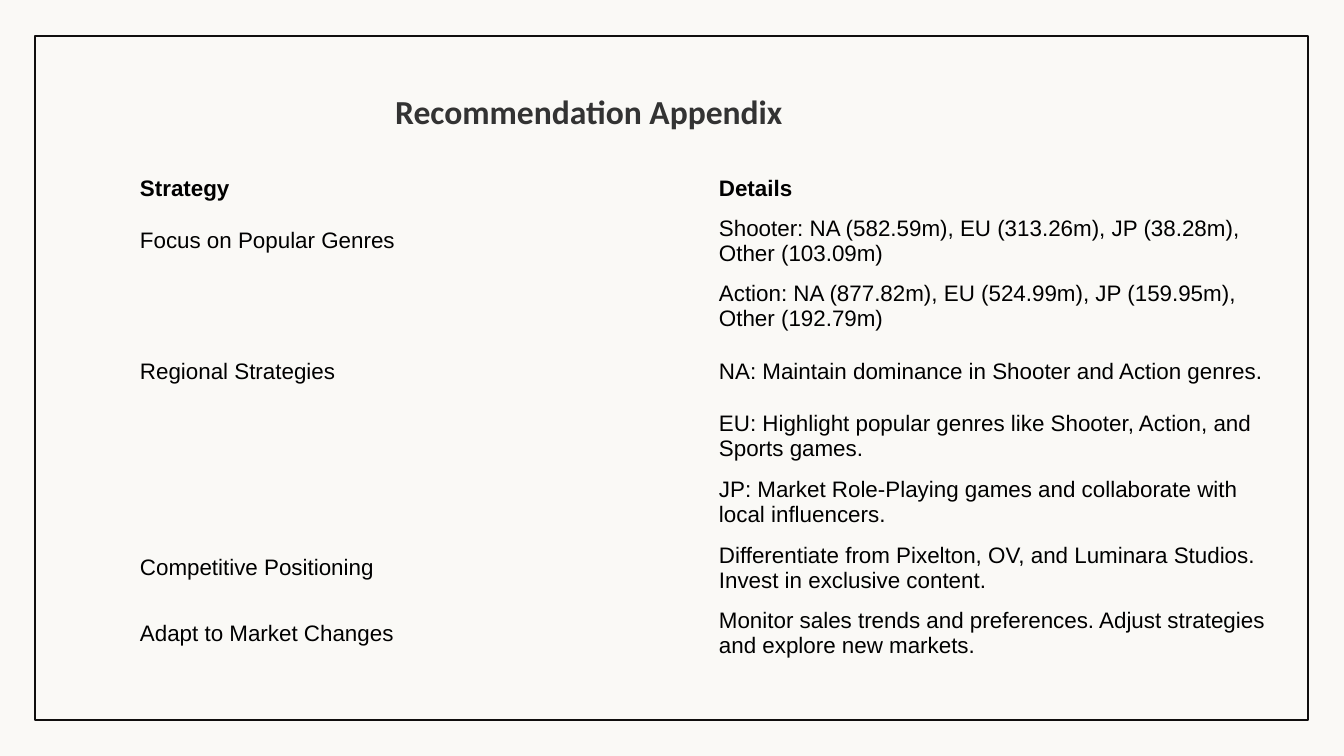
import dataclasses

import pptx
import pptx.dml.color
import pptx.enum.shapes
import pptx.enum.text
import pptx.oxml.ns
import pptx.util

SCALE = 914400 / 134.4
NO_GRID = "{2D5ABB26-0587-4C30-8999-92F81FD0307C}"
HEAD = ("Strategy", "Details")
ROWS = [
    ("Focus on Popular Genres",
     "Shooter: NA (582.59m), EU (313.26m), JP (38.28m), Other (103.09m)"),
    ("", "Action: NA (877.82m), EU (524.99m), JP (159.95m), Other (192.79m)"),
    ("Regional Strategies",
     "NA: Maintain dominance in Shooter and Action genres."),
    ("", "EU: Highlight popular genres like Shooter, Action, and Sports games."),
    ("", "JP: Market Role-Playing games and collaborate with local influencers."),
    ("Competitive Positioning",
     "Differentiate from Pixelton, OV, and Luminara Studios. "
     "Invest in exclusive content."),
    ("Adapt to Market Changes",
     "Monitor sales trends and preferences. "
     "Adjust strategies and explore new markets."),
]


@dataclasses.dataclass(frozen=True)
class Theme:
    paper: str = "FAF9F6"
    frame: str = "100E0E"
    title: str = "333333"
    body: str = "000000"
    title_font: str = "Calibri"
    body_font: str = "Arial"
    title_size: int = 18
    body_size: int = 12


THEME = Theme()


def px(count):
    return pptx.util.Emu(round(count * SCALE))


def rgb(code):
    return pptx.dml.color.RGBColor.from_string(code)


def add_run(para, text, face, size, color, bold=False):
    run = para.add_run()
    run.text = text
    run.font.name = face
    run.font.size = pptx.util.Pt(size)
    run.font.color.rgb = rgb(color)
    run.font.bold = bold


def add_frame(slide, left, top, width, height):
    rect = pptx.enum.shapes.MSO_SHAPE.RECTANGLE
    frame = slide.shapes.add_shape(rect, px(left), px(top), px(width), px(height))
    frame.shadow.inherit = False
    frame.fill.background()
    frame.line.color.rgb = rgb(THEME.frame)
    frame.line.width = pptx.util.Pt(0.75)


def add_title(slide, text, left, top, width, height):
    box = slide.shapes.add_textbox(px(left), px(top), px(width), px(height))
    frame = box.text_frame
    frame.word_wrap = True
    frame.vertical_anchor = pptx.enum.text.MSO_ANCHOR.MIDDLE
    para = frame.paragraphs[0]
    para.alignment = pptx.enum.text.PP_ALIGN.CENTER
    add_run(para, text, THEME.title_font, THEME.title_size, THEME.title, True)


def fill_cell(cell, text, bold):
    cell.fill.background()
    cell.vertical_anchor = pptx.enum.text.MSO_ANCHOR.MIDDLE
    cell.margin_left = cell.margin_right = px(12)
    cell.margin_top = cell.margin_bottom = px(6)
    if text:
        para = cell.text_frame.paragraphs[0]
        add_run(para, text, THEME.body_font, THEME.body_size, THEME.body, bold)


def add_grid(slide, rows, left, top, col, head, row):
    wide = col * len(rows[0])
    tall = head + row * (len(rows) - 1)
    shape = slide.shapes.add_table(
        len(rows), len(rows[0]), px(left), px(top), px(wide), px(tall))
    table = shape.table
    table.first_row = True
    table.horz_banding = False
    style = pptx.oxml.ns.qn("a:tableStyleId")
    table._tbl.tblPr.find(style).text = NO_GRID
    for column in table.columns:
        column.width = px(col)
    for y, texts in enumerate(rows):
        table.rows[y].height = px(row if y else head)
        for x, text in enumerate(texts):
            fill_cell(table.cell(y, x), text, y == 0)


def main():
    deck = pptx.Presentation()
    deck.slide_width, deck.slide_height = px(1344), px(756)
    slide = deck.slides.add_slide(deck.slide_layouts[6])
    slide.background.fill.solid()
    slide.background.fill.fore_color.rgb = rgb(THEME.paper)
    add_frame(slide, 35, 36, 1273, 684)
    add_title(slide, "Recommendation Appendix", 145, 69, 888, 85)
    add_grid(slide, [HEAD, *ROWS], 128, 169, 579, 38, 64)
    deck.save("out.pptx")


if __name__ == "__main__":
    main()
